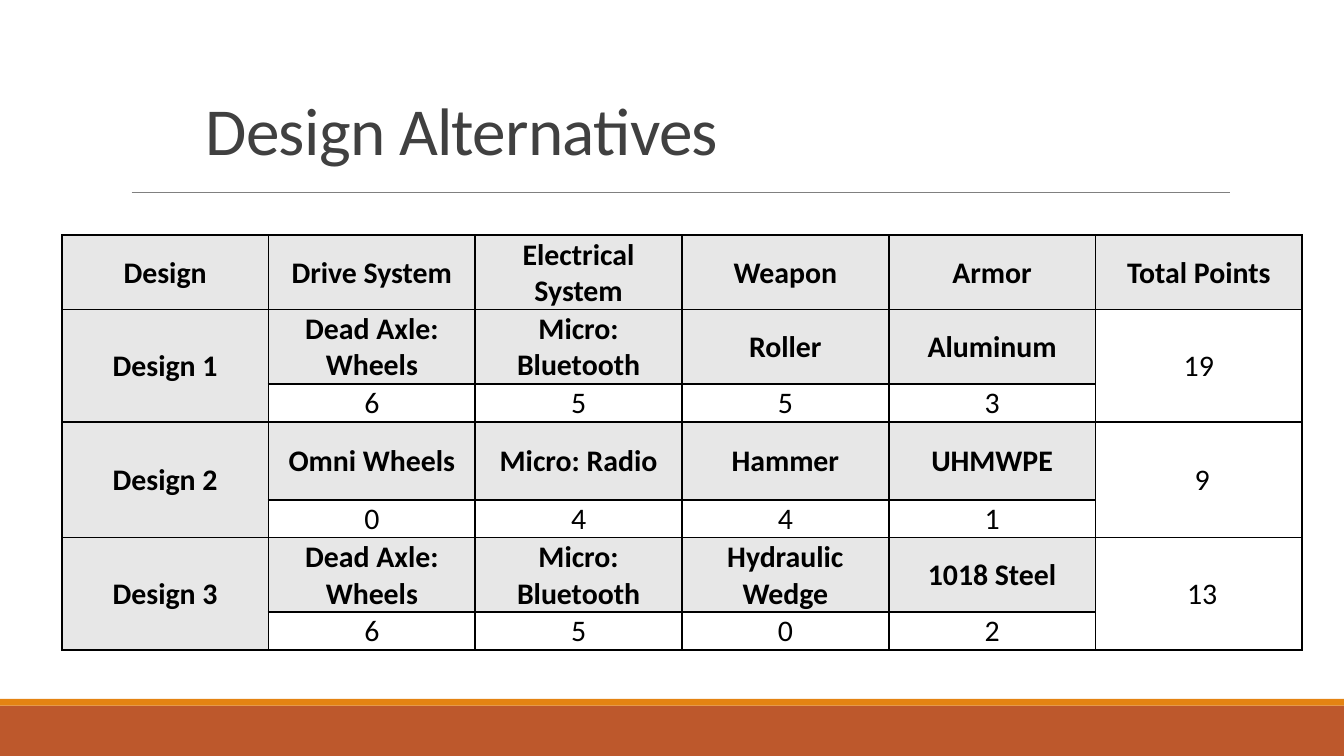
from dataclasses import dataclass

from lxml.etree import SubElement
from pptx import Presentation
from pptx.dml.color import RGBColor
from pptx.enum.shapes import MSO_CONNECTOR, MSO_SHAPE
from pptx.enum.text import MSO_ANCHOR, MSO_AUTO_SIZE, PP_ALIGN
from pptx.oxml.ns import qn
from pptx.util import Inches, Pt


@dataclass(frozen=True)
class Theme:
    font: str = "Calibri"
    title_size: int = 36
    table_size: int = 16
    title: str = "404040"
    text: str = "000000"
    rule: str = "808080"
    band: str = "BD582C"
    stripe: str = "E48312"
    label_fill: str = "E7E7E7"
    score_fill: str = "FFFFFF"


THEME = Theme()

SLIDE_WIDTH = 10
SLIDE_HEIGHT = SLIDE_WIDTH * 9 / 16

HEADERS = ["Design", "Drive System", "Electrical System", "Weapon", "Armor", "Total Points"]
# Design, its components, their scores, total
DESIGNS = [
    ("Design 1", ["Dead Axle: Wheels", "Micro: Bluetooth", "Roller", "Aluminum"],
     [6, 5, 5, 3], "19"),
    ("Design 2", ["Omni Wheels", "Micro: Radio", "Hammer", "UHMWPE"],
     [0, 4, 4, 1], " 9"),
    ("Design 3", ["Dead Axle: Wheels", "Micro: Bluetooth", "Hydraulic Wedge", "1018 Steel"],
     [6, 5, 0, 2], " 13"),
]
TABLE_WIDTH = 9.23
ROW_HEIGHTS = [0.55, 0.55, 0.28, 0.58, 0.28, 0.55, 0.28]


def color(value):
    return RGBColor.from_string(value)


def style_font(font, size, font_color, bold=False):
    font.name = THEME.font
    font.size = Pt(size)
    font.bold = bold
    font.color.rgb = color(font_color)


def add_bar(slide, top, bottom, fill):
    bar = slide.shapes.add_shape(
        MSO_SHAPE.RECTANGLE, 0, Inches(top), Inches(SLIDE_WIDTH), Inches(bottom - top))
    bar.shadow.inherit = False
    bar.fill.solid()
    bar.fill.fore_color.rgb = color(fill)
    bar.line.fill.background()


def add_rule(slide, left, right, y):
    rule = slide.shapes.add_connector(
        MSO_CONNECTOR.STRAIGHT, Inches(left), Inches(y), Inches(right), Inches(y))
    rule.line.color.rgb = color(THEME.rule)
    rule.line.width = Pt(0.5)
    SubElement(rule._element.spPr, qn("a:effectLst"))


def set_title(slide, text):
    title = slide.shapes.title
    title.left, title.top = Inches(1.43), Inches(0.65)
    title.width, title.height = Inches(7.69), Inches(1.09)
    frame = title.text_frame
    frame.text = text
    frame.word_wrap = True
    frame.auto_size = MSO_AUTO_SIZE.NONE
    frame.vertical_anchor = MSO_ANCHOR.TOP
    frame.margin_left = frame.margin_right = Inches(0.1)
    frame.margin_top = frame.margin_bottom = Inches(0.1)
    paragraph = frame.paragraphs[0]
    paragraph.alignment = PP_ALIGN.LEFT
    paragraph.line_spacing = 0.85
    style_font(paragraph.font, THEME.title_size, THEME.title)
    paragraph.runs[0]._r.get_or_add_rPr().set("spc", "-40")


def add_borders(cell):
    properties = cell._tc.get_or_add_tcPr()
    for side in ("a:lnL", "a:lnR", "a:lnT", "a:lnB"):
        border = SubElement(properties, qn(side), w=str(Pt(1)))
        fill = SubElement(border, qn("a:solidFill"))
        SubElement(fill, qn("a:srgbClr"), val=THEME.text)


def format_cell(cell):
    add_borders(cell)
    cell.fill.solid()
    cell.fill.fore_color.rgb = color(THEME.score_fill)
    cell.margin_left = cell.margin_right = cell.margin_top = Inches(0.01)
    cell.margin_bottom = 0
    cell.vertical_anchor = MSO_ANCHOR.MIDDLE


def write_cell(cell, text, label=False):
    """Write a bold shaded label or a plain score."""
    cell.text = str(text)
    paragraph = cell.text_frame.paragraphs[0]
    paragraph.alignment = PP_ALIGN.CENTER
    style_font(paragraph.font, THEME.table_size, THEME.text, label)
    if label:
        cell.fill.fore_color.rgb = color(THEME.label_fill)


def add_score_table(slide):
    table = slide.shapes.add_table(
        len(ROW_HEIGHTS), len(HEADERS), Inches(0.46), Inches(1.75),
        Inches(TABLE_WIDTH), Inches(sum(ROW_HEIGHTS))).table
    for column in table.columns:
        column.width = Inches(TABLE_WIDTH / len(HEADERS))
    for row, height in zip(table.rows, ROW_HEIGHTS):
        row.height = Inches(height)
    for cell in table.iter_cells():
        format_cell(cell)

    for column, header in enumerate(HEADERS):
        write_cell(table.cell(0, column), header, label=True)
    total_column = len(HEADERS) - 1
    for index, (design, components, scores, total) in enumerate(DESIGNS):
        row = 1 + 2 * index
        for column in (0, total_column):
            table.cell(row, column).merge(table.cell(row + 1, column))
        write_cell(table.cell(row, 0), design, label=True)
        write_cell(table.cell(row, total_column), total)
        for column, (component, score) in enumerate(zip(components, scores), start=1):
            write_cell(table.cell(row, column), component, label=True)
            write_cell(table.cell(row + 1, column), score)


def main():
    presentation = Presentation()
    presentation.slide_width = Inches(SLIDE_WIDTH)
    presentation.slide_height = Inches(SLIDE_HEIGHT)
    slide = presentation.slides.add_slide(presentation.slide_layouts[5])
    add_bar(slide, 5.25, SLIDE_HEIGHT, THEME.band)
    add_bar(slide, 5.2, 5.25, THEME.stripe)
    add_rule(slide, 0.98, 9.15, 1.43)
    set_title(slide, "Design Alternatives")
    add_score_table(slide)
    presentation.save("out.pptx")


if __name__ == "__main__":
    main()
